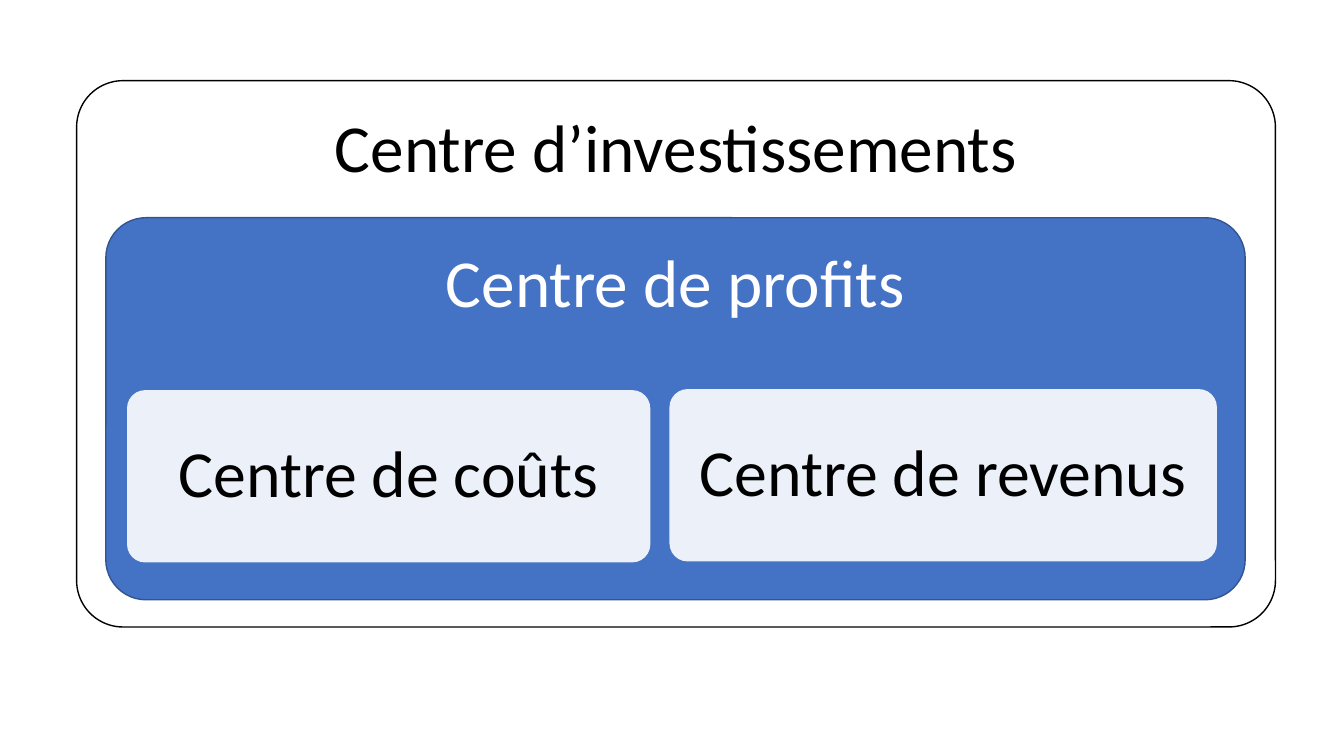
from dataclasses import dataclass
from typing import Optional

import lxml.etree
import pptx
import pptx.dml.color
import pptx.enum.shapes
import pptx.enum.text
import pptx.oxml.ns
import pptx.slide
import pptx.util

COLORS = {
    "black": "000000",
    "white": "FFFFFF",
    "blue": "4472C4",
    "dark_blue": "325491",
}
FONT = "Calibri"
INSET = 0.2


@dataclass
class Centre:
    label: str
    left: float
    top: float
    width: float
    height: float
    size: int = 47
    corner: float = 0.105
    text_color: str = "black"
    fill: Optional[str] = "white"
    opacity: int = 100
    line: Optional[str] = None
    middle: bool = False


CENTRES = [
    Centre("Centre d’investissements", 0.76, 0.8, 11.89, 5.42, size=48,
           corner=0.085, fill=None, line="black"),
    Centre("Centre de profits", 1.05, 2.16, 11.3, 3.79, size=48,
           text_color="white", fill="blue", line="dark_blue"),
    Centre("Centre de coûts", 1.26, 3.87, 5.19, 1.71, opacity=90, middle=True),
    Centre("Centre de revenus", 6.64, 3.86, 5.43, 1.71, opacity=90, middle=True),
]


def rgb(name: str) -> pptx.dml.color.RGBColor:
    return pptx.dml.color.RGBColor.from_string(COLORS[name])


def set_opacity(s, percent: int) -> None:
    color = s._element.spPr.find(".//" + pptx.oxml.ns.qn("a:srgbClr"))
    alpha = lxml.etree.SubElement(color, pptx.oxml.ns.qn("a:alpha"))
    alpha.set("val", str(percent * 1000))


def style_box(s, centre: Centre) -> None:
    s.shadow.inherit = False
    s.adjustments[0] = centre.corner
    if centre.fill:
        s.fill.solid()
        s.fill.fore_color.rgb = rgb(centre.fill)
        if centre.opacity < 100:
            set_opacity(s, centre.opacity)
    else:
        s.fill.background()
    if centre.line:
        s.line.color.rgb = rgb(centre.line)
        s.line.width = pptx.util.Pt(1)
    else:
        s.line.fill.background()


def write_label(s, centre: Centre) -> None:
    tf = s.text_frame
    tf.text = centre.label
    tf.word_wrap = True
    anchor = pptx.enum.text.MSO_ANCHOR
    tf.vertical_anchor = anchor.MIDDLE if centre.middle else anchor.TOP
    tf.margin_left = tf.margin_right = pptx.util.Inches(INSET)
    tf.margin_top = tf.margin_bottom = pptx.util.Inches(INSET)
    p = tf.paragraphs[0]
    p.alignment = pptx.enum.text.PP_ALIGN.CENTER
    p.line_spacing = 0.9
    r = p.runs[0]
    r.font.name = FONT
    r.font.size = pptx.util.Pt(centre.size)
    r.font.color.rgb = rgb(centre.text_color)


def add_centre(slide: pptx.slide.Slide, centre: Centre) -> None:
    frame = (centre.left, centre.top, centre.width, centre.height)
    s = slide.shapes.add_shape(
        pptx.enum.shapes.MSO_SHAPE.ROUNDED_RECTANGLE,
        *(pptx.util.Inches(length) for length in frame),
    )
    style_box(s, centre)
    write_label(s, centre)


def main() -> None:
    prs = pptx.Presentation()
    prs.slide_width = pptx.util.Inches(13.33)
    prs.slide_height = pptx.util.Inches(7.5)
    slide = prs.slides.add_slide(prs.slide_layouts[6])
    for centre in CENTRES:
        add_centre(slide, centre)
    prs.save("out.pptx")


if __name__ == "__main__":
    main()
